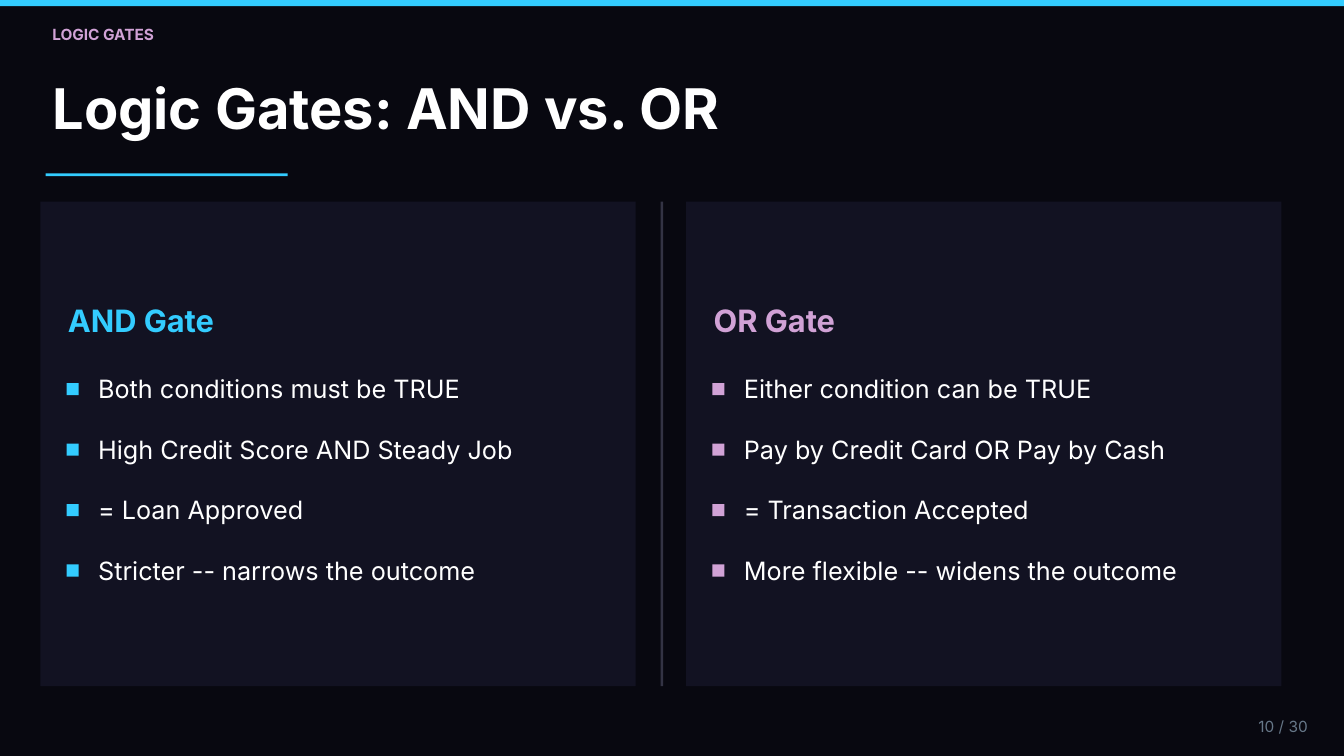
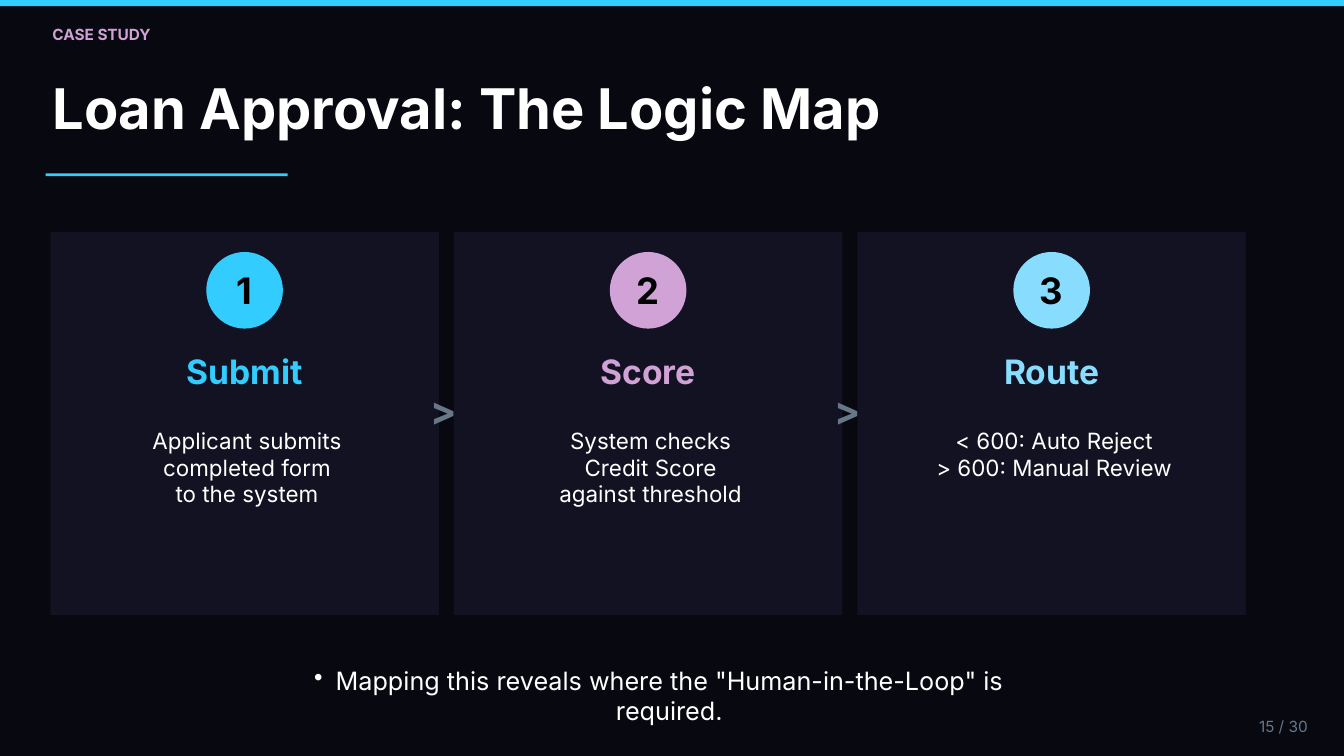
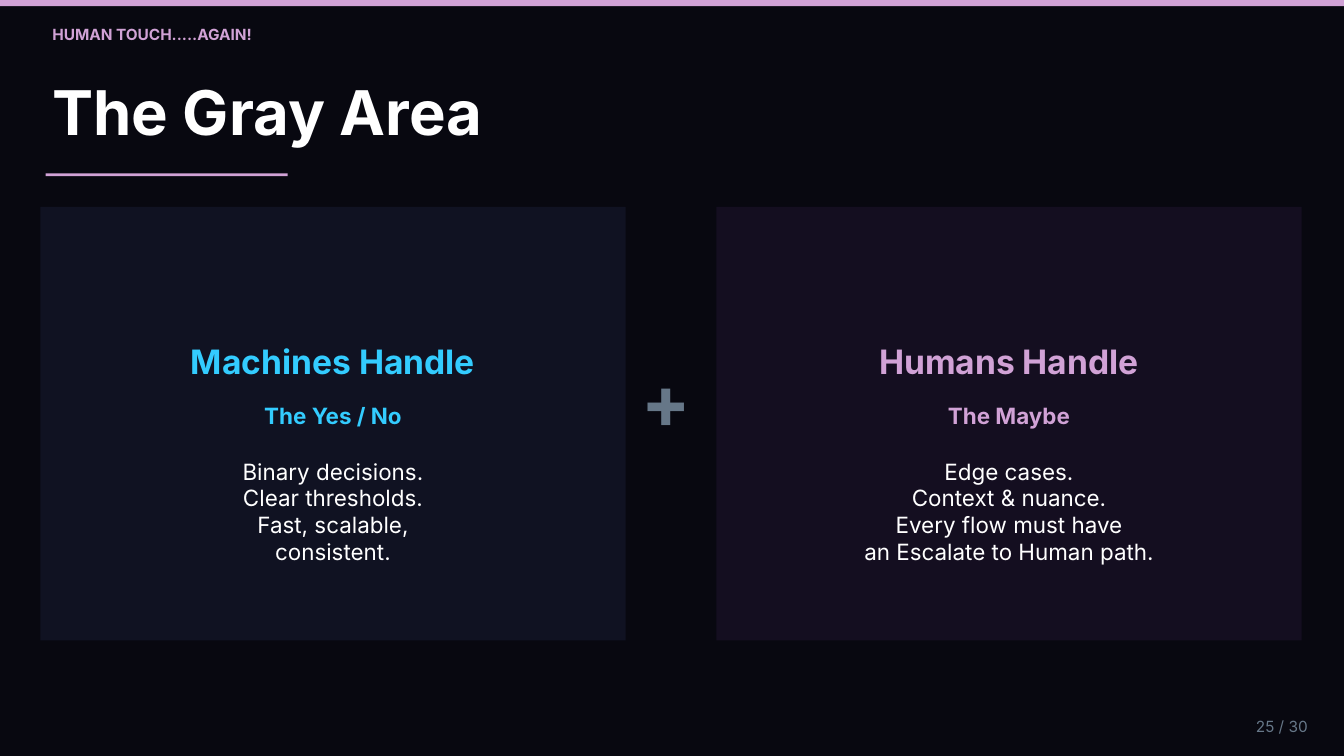
from dataclasses import dataclass

from lxml import etree
from pptx import Presentation
from pptx.dml.color import RGBColor
from pptx.enum.shapes import MSO_SHAPE
from pptx.enum.text import MSO_ANCHOR, MSO_AUTO_SIZE, PP_ALIGN
from pptx.oxml.ns import qn
from pptx.util import Inches, Pt

RECT, OVAL = MSO_SHAPE.RECTANGLE, MSO_SHAPE.OVAL
LEFT, MID, RIGHT = PP_ALIGN.LEFT, PP_ALIGN.CENTER, PP_ALIGN.RIGHT
TOP, CENTER = MSO_ANCHOR.TOP, MSO_ANCHOR.MIDDLE
FIXED = MSO_AUTO_SIZE.NONE

WIDTH, HEIGHT = Inches(20), Inches(11.25)
COLS, ROWS = 200, 112.5
COL, ROW = WIDTH / COLS, HEIGHT / ROWS


@dataclass(frozen=True)
class Theme:
    font: str = "Inter"
    back: str = "080810"
    card: str = "121222"
    cool: str = "101222"
    warm: str = "140E20"
    rule: str = "333344"
    blue: str = "33CCFF"
    pink: str = "D1A2D6"
    sky: str = "88DDFF"
    gray: str = "667788"
    white: str = "FFFFFF"
    black: str = "000000"
    small: float = 16.5
    body: float = 24
    item: float = 27
    gate: float = 33
    head: float = 36
    digit: float = 39
    arrow: float = 42
    title: float = 60
    large: float = 66
    plus: float = 78
    lead: float = 1.2


T = Theme()


@dataclass(frozen=True)
class Box:
    x: float
    y: float
    w: float
    h: float

    def inner(self, x, y, w, h):
        return Box(self.x + x, self.y + y, w, h)

    def columns(self, count, gap):
        wide = (self.w - gap * (count - 1)) / count
        return [self.inner(i * (wide + gap), 0, wide, self.h) for i in range(count)]

    def emu(self):
        return [round(v) for v in (self.x * COL, self.y * ROW, self.w * COL, self.h * ROW)]


PAGE = Box(0, 0, COLS, ROWS)


def write(frame, lines, size, color, bold=False, align=LEFT, anchor=TOP):
    frame.word_wrap = True
    frame.auto_size = FIXED
    frame.vertical_anchor = anchor
    frame.margin_left = frame.margin_right = 0
    frame.margin_top = frame.margin_bottom = 0
    for i, line in enumerate(lines):
        para = frame.add_paragraph() if i else frame.paragraphs[0]
        para.alignment = align
        para.line_spacing = Pt(size * T.lead)
        para.space_before = Pt(0)
        run = para.add_run()
        run.text = line
        font = run.font
        font.name, font.size, font.bold = T.font, Pt(size), bold
        font.color.rgb = RGBColor.from_string(color)


def label(slide, box, lines, size, color, **style):
    frame = slide.shapes.add_textbox(*box.emu()).text_frame
    write(frame, lines, size, color, **style)
    return frame


def block(slide, box, color, kind=RECT):
    shape = slide.shapes.add_shape(kind, *box.emu())
    shape.shadow.inherit = False
    shape.fill.solid()
    shape.fill.fore_color.rgb = RGBColor.from_string(color)
    shape.line.fill.background()
    return shape


def base(deck, tag, title, page, tint=T.blue, size=T.title):
    slide = deck.slides.add_slide(deck.slide_layouts[5])
    block(slide, PAGE.inner(0, 0, COLS, 0.9), tint)
    label(slide, PAGE.inner(7.8, 3.7, 118, 2.8), [tag], T.small, T.pink, bold=True)
    head = slide.shapes.title
    head.left, head.top, head.width, head.height = PAGE.inner(7.8, 11, 178, size / 6).emu()
    write(head.text_frame, [title], size, T.white, bold=True)
    block(slide, PAGE.inner(6.8, 25.8, 36, 0.4), tint)
    label(slide, PAGE.inner(180.1, 106.7, 14.5, 2.8), [f"{page} / 30"],
          T.small, T.gray, align=RIGHT)
    return slide


def gate(slide, box, name, items, tint):
    block(slide, box, T.card)
    label(slide, box.inner(4.1, 14.9, 80.6, 5.5), [name], T.gate, tint, bold=True)
    for i, item in enumerate(items):
        row = box.inner(3.9, 25.6 + 9 * i, 80.8, 4.5)
        block(slide, row.inner(0, 1.4, 1.8, 1.8), tint)
        label(slide, row.inner(4.7, 0, 76.1, 4.5), [item], T.item, T.white)


def gates(deck):
    slide = base(deck, "LOGIC GATES", "Logic Gates: AND vs. OR", 10)
    both = Box(6, 30, 184.7, 72.1).columns(2, 7.5)
    data = [
        ("AND Gate", ["Both conditions must be TRUE", "High Credit Score AND Steady Job",
                      "= Loan Approved", "Stricter -- narrows the outcome"], T.blue),
        ("OR Gate", ["Either condition can be TRUE", "Pay by Credit Card OR Pay by Cash",
                     "= Transaction Accepted", "More flexible -- widens the outcome"], T.pink),
    ]
    for box, row in zip(both, data):
        gate(slide, box, *row)
    block(slide, both[0].inner(92.3, 0, 0.4, 72.1), T.rule)


def step(slide, box, num, name, lines, tint):
    block(slide, box, T.card)
    disc = block(slide, box.inner((box.w - 11.4) / 2, 3, 11.4, 11.4), tint, OVAL)
    write(disc.text_frame, [str(num)], T.digit, T.black, bold=True, align=MID, anchor=CENTER)
    label(slide, box.inner(1, 17.7, box.w - 2, 6), [name], T.head, tint, bold=True, align=MID)
    label(slide, box.inner(2.5, 29, 53.5, 11.9), lines, T.body, T.white, align=MID)


def note(slide, box, text):
    para = label(slide, box, [text], T.item, T.white, align=MID).paragraphs[0]
    para.level = 1
    props = para._p.get_or_add_pPr()
    props.set("marL", str(Inches(0.64)))
    props.set("indent", str(Inches(-0.32)))
    etree.SubElement(props, qn("a:buChar")).set("char", "•")


def steps(deck):
    slide = base(deck, "CASE STUDY", "Loan Approval: The Logic Map", 15)
    data = [
        ("Submit", ["Applicant submits", "completed form", "to the system"], T.blue),
        ("Score", ["System checks", "Credit Score", "against threshold"], T.pink),
        ("Route", ["< 600: Auto Reject", "> 600: Manual Review"], T.sky),
    ]
    boxes = Box(7.5, 34.5, 177.9, 57).columns(len(data), 2.25)
    for num, (box, row) in enumerate(zip(boxes, data), 1):
        step(slide, box, num, *row)
        if num < len(data):
            label(slide, box.inner(56.6, 23, 3.9, 7), [">"], T.arrow, T.gray,
                  bold=True, align=MID)
    note(slide, PAGE.inner(36.2, 99, 120.4, 4.5),
         'Mapping this reveals where the "Human-in-the-Loop" is required.')


def role(slide, box, name, sub, lines, tint, fill):
    block(slide, box, fill)
    wide = box.w - 2
    label(slide, box.inner(1, 19.9, wide, 6), [name], T.head, tint, bold=True, align=MID)
    label(slide, box.inner(1, 29, wide, 4), [sub], T.body, tint, bold=True, align=MID)
    label(slide, box.inner(3.25, 37.3, box.w - 6.5, 15.8), lines, T.body, T.white, align=MID)


def roles(deck):
    slide = base(deck, "HUMAN TOUCH.....AGAIN!", "The Gray Area", 25, T.pink, T.large)
    both = Box(6, 30.8, 187.7, 64.5).columns(2, 13.5)
    data = [
        ("Machines Handle", "The Yes / No",
         ["Binary decisions.", "Clear thresholds.", "Fast, scalable,", "consistent."],
         T.blue, T.cool),
        ("Humans Handle", "The Maybe",
         ["Edge cases.", "Context & nuance.", "Every flow must have",
          "an Escalate to Human path."],
         T.pink, T.warm),
    ]
    for box, row in zip(both, data):
        role(slide, box, *row)
    label(slide, both[0].inner(89.4, 22.2, 7.3, 12.9), ["+"], T.plus, T.gray,
          bold=True, align=MID)


def main():
    deck = Presentation()
    deck.slide_width, deck.slide_height = WIDTH, HEIGHT
    fill = deck.slide_master.background.fill
    fill.solid()
    fill.fore_color.rgb = RGBColor.from_string(T.back)
    for make in (gates, steps, roles):
        make(deck)
    deck.save("out.pptx")


if __name__ == "__main__":
    main()
